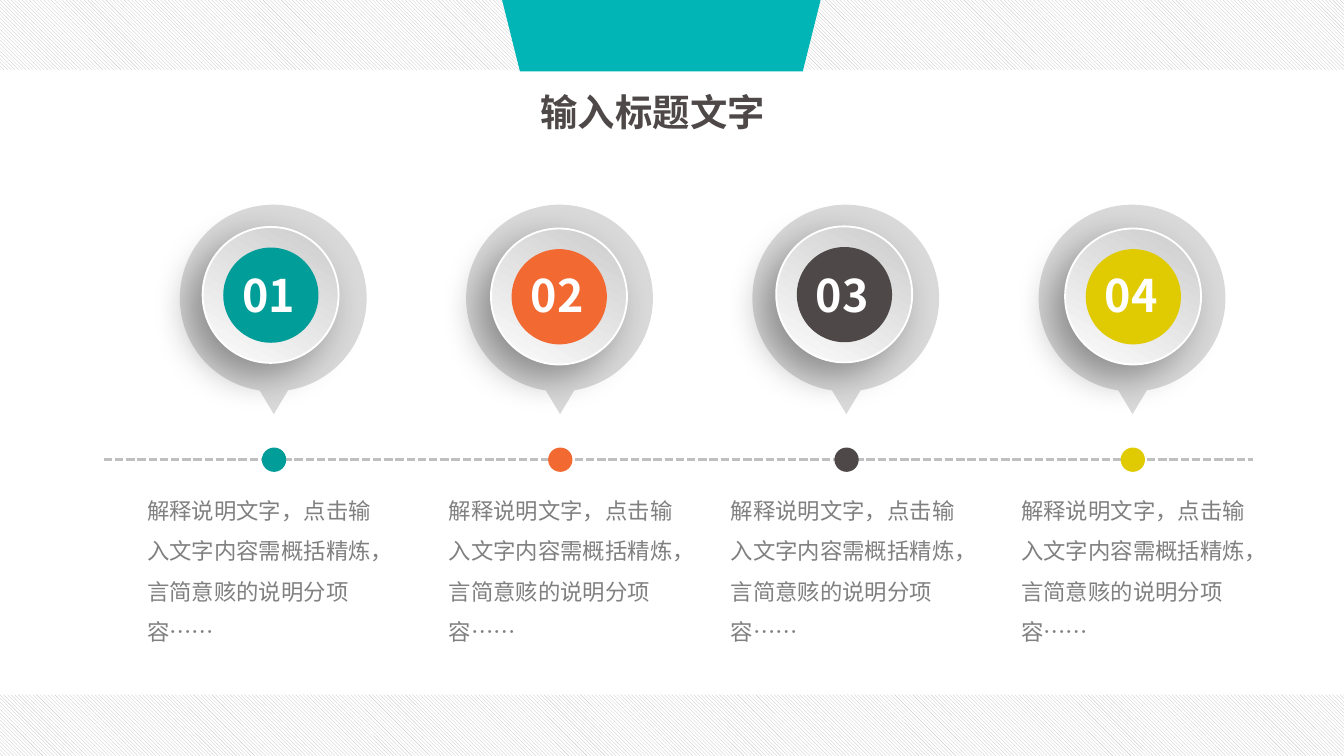
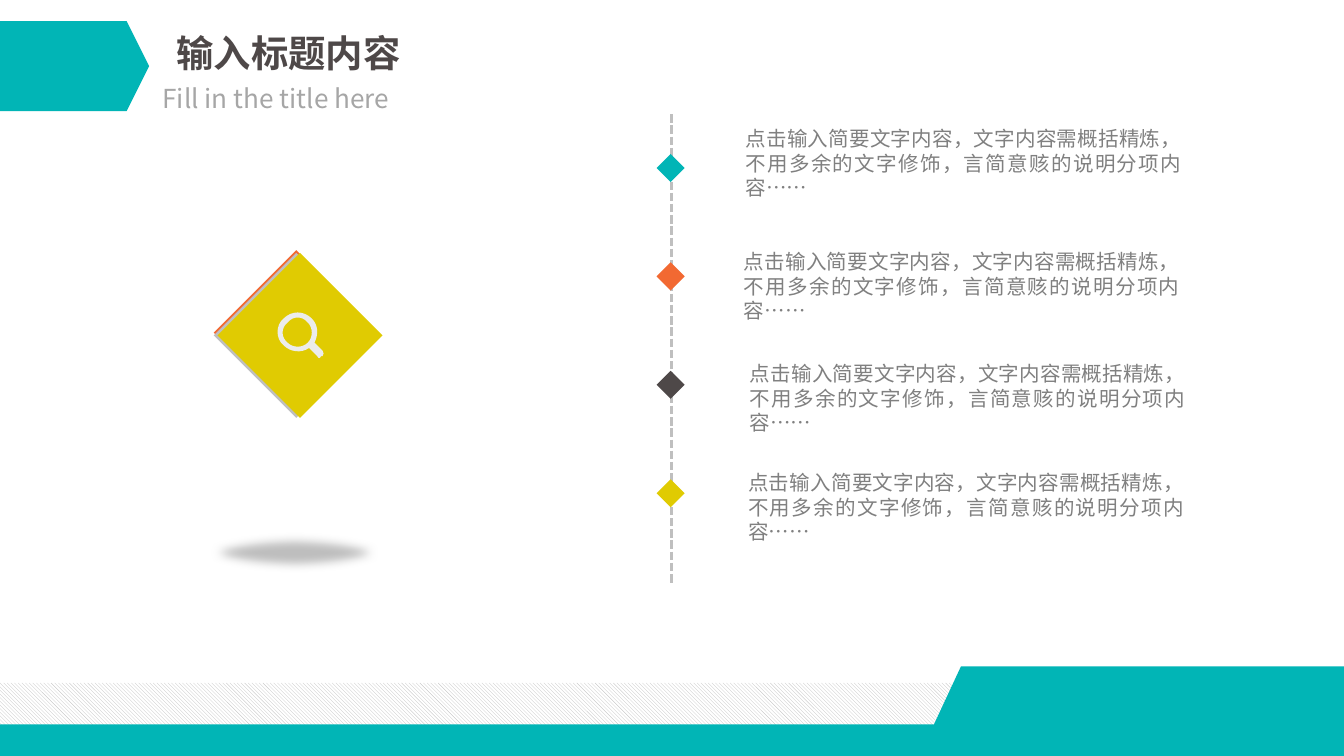
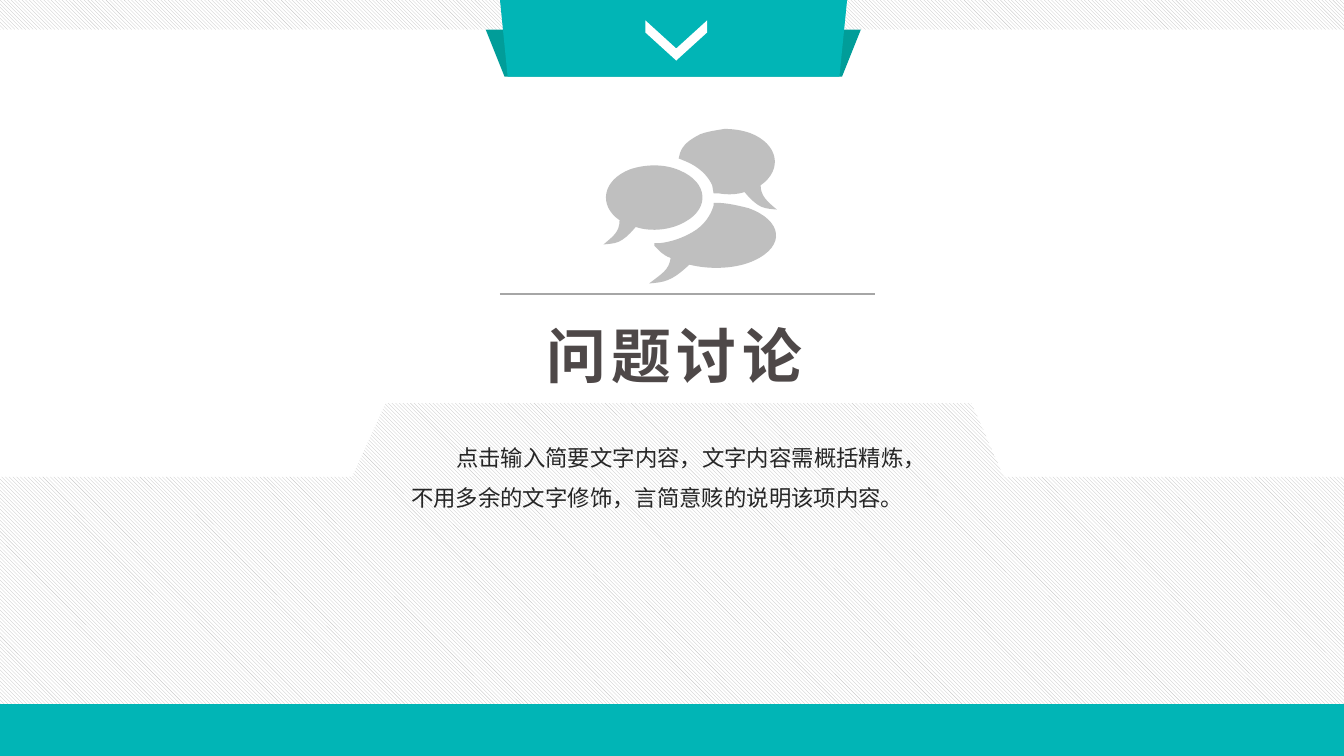
from lxml import etree
from pptx import Presentation
from pptx.dml.color import RGBColor
from pptx.enum.dml import MSO_LINE, MSO_PATTERN
from pptx.enum.shapes import MSO_CONNECTOR, MSO_SHAPE
from pptx.enum.text import MSO_ANCHOR, MSO_AUTO_SIZE, PP_ALIGN
from pptx.oxml.ns import qn
from pptx.util import Cm, Pt

TEAL = RGBColor(0x01, 0xB5, 0xB6)
DEEP_TEAL = RGBColor(0x01, 0x9D, 0x99)
ORANGE = RGBColor(0xF2, 0x69, 0x32)
CHARCOAL = RGBColor(0x4E, 0x48, 0x48)
YELLOW = RGBColor(0xE0, 0xCB, 0x02)
WHITE = RGBColor(0xFF, 0xFF, 0xFF)
ICON_WHITE = RGBColor(0xEC, 0xEC, 0xEB)
PIN_GREY = RGBColor(0xD9, 0xD9, 0xD9)
SILVER = RGBColor(0xBF, 0xBF, 0xBF)
RULE_GREY = RGBColor(0xA6, 0xA6, 0xA6)
TEXT_GREY = RGBColor(0x80, 0x80, 0x80)
INK = RGBColor(0x26, 0x26, 0x26)
DISC_DARK = RGBColor(0xCC, 0xCC, 0xCC)
DISC_LIGHT = RGBColor(0xFC, 0xFC, 0xFC)

SANS = "Noto Sans CJK SC"
WIDTH, HEIGHT = 25.4, 14.29
GRID = Cm(0.0254)  # unit of the outlines below

# Slide 1: number, colour, disc left, disc top, caption left, caption width
STEP_CAPTION = "解释说明文字，点击输入文字内容需概括精炼，言简意赅的说明分项容……"
STEPS = [
    ("01", DEEP_TEAL, 3.83, 4.29, 2.53, 5.12),
    ("02", ORANGE, 9.28, 4.32, 8.23, 4.8),
    ("03", CHARCOAL, 14.67, 4.28, 13.56, 4.8),
    ("04", YELLOW, 20.13, 4.32, 19.05, 4.8),
]
STEP_PITCH = 5.41

# Slide 2: colour, note left, note top
NOTE = "点击输入简要文字内容，文字内容需概括精炼，不用多余的文字修饰，言简意赅的说明分项内容……"
NOTES = [
    (TEAL, 13.84, 2.26),
    (ORANGE, 13.81, 4.58),
    (CHARCOAL, 13.92, 6.7),
    (YELLOW, 13.89, 8.76),
]
NOTE_PITCH = 2.05
TILES = [(ORANGE, 4.04, 4.73), (SILVER, 4.04, 4.78), (YELLOW, 4.11, 4.78)]

DISCUSSION = "点击输入简要文字内容，文字内容需概括精炼，不用多余的文字修饰，言简意赅的说明该项内容。"

# Outlines are lists of contours; two numbers draw a line, six a Bézier curve.
FOOTER = [[(1000, 562.5), (0, 562.5), (0, 539), (695, 539), (715, 496), (1000, 496)]]
PLATFORM = [[(287, 300), (723, 300), (747, 355), (1000, 355),
             (1000, 562.5), (0, 562.5), (0, 355), (262, 355)]]
MAGNIFIER = [
    [(232, 237), (226, 231, 217, 231, 211, 237), (205, 242, 205, 252, 211, 257),
     (216, 262, 224, 263, 230, 259), (236, 265), (237, 267, 238, 267, 239, 265),
     (240, 265), (241, 264, 241, 262, 240, 261), (234, 255),
     (237, 249, 237, 242, 232, 237)],
    [(229, 255), (225, 259, 218, 259, 214, 255), (209, 251, 209, 244, 214, 240),
     (218, 235, 225, 235, 229, 240), (233, 244, 233, 251, 229, 255)],
]
BUBBLES = [
    [[(449, 182), (456, 176, 461, 173, 461, 164), (445, 153, 448, 134, 469, 126),
      (481, 122, 495, 122, 506, 127), (527, 136, 528, 155, 510, 165),
      (500, 171, 485, 173, 473, 169), (462, 182, 458, 181, 449, 182)]],
    [[(539, 96), (546, 96, 552, 97, 558, 99), (579, 107, 583, 126, 566, 138),
      (566, 146, 571, 150, 578, 156), (569, 155, 565, 156, 554, 143),
      (548, 145, 541, 145, 535, 144), (531, 144), (530, 138),
      (527, 131, 520, 124, 510, 120), (505, 118), (506, 114),
      (508, 108, 513, 104, 521, 100), (526, 98, 533, 97, 539, 96)]],
    [[(533, 151), (541, 151, 549, 153, 557, 155), (582, 164, 585, 183, 561, 194),
      (548, 200, 529, 201, 513, 197), (499, 210, 494, 210, 483, 211),
      (492, 204, 498, 201, 499, 192), (493, 190, 490, 186, 487, 183), (487, 181),
      (491, 181), (500, 180, 508, 177, 515, 173), (524, 168, 529, 160, 531, 153),
      (531, 151)]],
]


def paint(shape, fill):
    """Fill without line or shadow; a fill of None gives the hatched pattern."""
    shape.shadow.inherit = False
    shape.line.fill.background()
    if fill is None:
        shape.fill.patterned()
        shape.fill.pattern = MSO_PATTERN.LIGHT_DOWNWARD_DIAGONAL
        shape.fill.fore_color.rgb = SILVER
        shape.fill.back_color.rgb = WHITE
    else:
        shape.fill.solid()
        shape.fill.fore_color.rgb = fill
    return shape


def add_figure(slide, kind, box, fill, adjust=None, flip=False):
    shape = paint(slide.shapes.add_shape(kind, *map(Cm, box)), fill)
    if adjust is not None:
        shape.adjustments[0] = adjust
    if flip:
        shape._element.spPr.get_or_add_xfrm().set("flipV", "1")
    return shape


def add_hatch(slide, top, height):
    add_figure(slide, MSO_SHAPE.RECTANGLE, (0, top, WIDTH, height), None)


def add_outline(slide, contours, fill):
    """Draw straight contours through the end points, then bend the curved sides."""
    ends = [[tuple(round(n * GRID) for n in side[-2:]) for side in contour]
            for contour in contours]
    builder = slide.shapes.build_freeform(*ends[0][0])
    builder.add_line_segments(ends[0][1:], close=True)
    for hole in ends[1:]:
        builder.move_to(*hole[0])
        builder.add_line_segments(hole[1:], close=True)
    shape = builder.convert_to_shape()

    sides = [side for contour in contours for side in contour[1:]]
    for line, side in zip(list(shape._element.iter(qn("a:lnTo"))), sides):
        if len(side) == 2:
            continue
        curve = etree.Element(qn("a:cubicBezTo"))
        for x, y in zip(side[::2], side[1::2]):
            etree.SubElement(curve, qn("a:pt"), x=str(round(x * GRID) - shape.left),
                             y=str(round(y * GRID) - shape.top))
        line.getparent().replace(line, curve)
    return paint(shape, fill)


def add_rule(slide, start, end, color, width, dash=None):
    rule = slide.shapes.add_connector(MSO_CONNECTOR.STRAIGHT, *map(Cm, start + end))
    rule.line.color.rgb = color
    rule.line.width = Pt(width)
    if dash:
        rule.line.dash_style = dash
    etree.SubElement(rule._element.spPr, qn("a:effectLst"))


def add_effect(shape, name, **attributes):
    effects = shape._element.spPr.find(qn("a:effectLst"))
    return etree.SubElement(effects, qn(name), attributes)


def write(shape, words, size, color, bold=False, font=SANS, align=PP_ALIGN.LEFT,
          spacing=None, wrap=True, indent=0, tracking=0):
    frame = shape.text_frame
    frame.word_wrap = wrap
    frame.auto_size = MSO_AUTO_SIZE.SHAPE_TO_FIT_TEXT
    frame.vertical_anchor = MSO_ANCHOR.TOP
    paragraph = frame.paragraphs[0]
    paragraph.alignment = align
    if spacing:
        paragraph.line_spacing = spacing
    if indent:
        paragraph._p.get_or_add_pPr().set("indent", str(Cm(indent)))
    run = paragraph.add_run()
    run.text = words
    run.font.size = Pt(size)
    run.font.bold = bold
    run.font.color.rgb = color
    run.font.name = font
    properties = run._r.get_or_add_rPr()
    if tracking:
        properties.set("spc", str(tracking * 100))
    east_asian = etree.Element(qn("a:ea"), typeface=SANS)
    properties.find(qn("a:latin")).addnext(east_asian)


def add_text(slide, box, words, size, color, **style):
    write(slide.shapes.add_textbox(*map(Cm, box)), words, size, color, **style)


def add_titled_slide(deck, title, box, size=20, **style):
    slide = deck.slides.add_slide(deck.slide_layouts[5])
    heading = slide.shapes.title
    heading.left, heading.top, heading.width, heading.height = map(Cm, box)
    write(heading, title, size, CHARCOAL, bold=True, **style)
    return slide


def add_step(slide, index, number, color, disc_left, disc_top, caption_left, caption_width):
    shift = index * STEP_PITCH
    add_figure(slide, MSO_SHAPE.OVAL, (3.4 + shift, 3.87, 3.53, 3.53), PIN_GREY)
    add_figure(slide, MSO_SHAPE.ISOSCELES_TRIANGLE, (4.69 + shift, 7.02, 0.97, 0.81),
               PIN_GREY, flip=True)
    add_figure(slide, MSO_SHAPE.OVAL, (4.95 + shift, 8.46, 0.46, 0.46), color)

    disc = add_figure(slide, MSO_SHAPE.OVAL, (disc_left, disc_top, 2.57, 2.57), WHITE)
    disc.fill.gradient()
    disc.fill.gradient_angle = 240
    for stop, shade in zip(disc.fill.gradient_stops, (DISC_DARK, DISC_LIGHT)):
        stop.color.rgb = shade
    disc.line.color.rgb = WHITE
    disc.line.width = Pt(1)
    shadow = add_effect(disc, "a:outerShdw", blurRad=str(Pt(20)), dist=str(Pt(10)),
                        dir=str(136 * 60000), algn="ctr", rotWithShape="0")
    black = etree.SubElement(shadow, qn("a:srgbClr"), val="000000")
    etree.SubElement(black, qn("a:alpha"), val="34000")

    add_figure(slide, MSO_SHAPE.OVAL, (disc_left + 0.39, disc_top + 0.39, 1.8, 1.8), color)
    add_text(slide, (disc_left + 0.5, 4.94, 1.57, 1.27), number, 24, WHITE,
             bold=True, wrap=False)
    add_text(slide, (caption_left, 9.02, caption_width, 4.37), STEP_CAPTION, 12,
             TEXT_GREY, spacing=1.5)


def build_steps(deck):
    slide = add_titled_slide(deck, "输入标题文字", (9.96, 1.56, 5.08, 1.12),
                             align=PP_ALIGN.JUSTIFY)
    add_hatch(slide, 0, 1.32)
    add_hatch(slide, 13.13, HEIGHT - 13.13)
    add_figure(slide, MSO_SHAPE.TRAPEZOID, (9.49, 0, 6.02, 1.35), TEAL, flip=True)
    add_rule(slide, (1.96, 8.69), (23.68, 8.69), SILVER, 1.5, MSO_LINE.SQUARE_DOT)
    for index, step in enumerate(STEPS):
        add_step(slide, index, *step)


def build_notes(deck):
    slide = add_titled_slide(deck, "输入标题内容", (3.08, 0.44, 4.93, 1.12))
    add_text(slide, (2.82, 1.44, 4.98, 0.86), "Fill in the title here", 14, RULE_GREY,
             wrap=False)
    add_hatch(slide, 12.91, 1.3)
    add_outline(slide, FOOTER, TEAL)
    add_figure(slide, MSO_SHAPE.PENTAGON, (0, 0.4, 2.82, 1.7), TEAL, adjust=0.25)

    ground = add_figure(slide, MSO_SHAPE.OVAL, (3.76, 10.06, 3.63, 0.76), SILVER)
    add_effect(ground, "a:softEdge", rad=str(Pt(5)))
    for color, left, top in TILES:
        add_figure(slide, MSO_SHAPE.DIAMOND, (left, top, 3.12, 3.12), color)
    add_outline(slide, MAGNIFIER, ICON_WHITE)

    add_rule(slide, (12.69, 2.16), (12.69, 11.02), SILVER, 1.5, MSO_LINE.SQUARE_DOT)
    for index, (color, left, top) in enumerate(NOTES):
        marker_top = 2.91 + index * NOTE_PITCH
        add_figure(slide, MSO_SHAPE.DIAMOND, (12.41, marker_top, 0.53, 0.53), color)
        add_text(slide, (left, top, 8.74, 1.68), NOTE, 11, TEXT_GREY, font="Calibri",
                 align=PP_ALIGN.JUSTIFY)


def build_discussion(deck):
    slide = add_titled_slide(deck, "问题讨论", (9.7, 5.89, 6.17, 1.63), size=32,
                             align=PP_ALIGN.JUSTIFY, indent=0.37, tracking=3)
    for bubble in BUBBLES:
        add_outline(slide, bubble, SILVER)
    add_rule(slide, (9.45, 5.56), (16.54, 5.56), RULE_GREY, 0.75)
    # The white panel trims the rule above it, and the title stands on the panel.
    add_figure(slide, MSO_SHAPE.RECTANGLE, (8.08, 5.58, 9.04, 2.31), WHITE)
    slide.shapes._spTree.append(slide.shapes.title._element)
    add_outline(slide, PLATFORM, None)
    add_figure(slide, MSO_SHAPE.RECTANGLE, (0, 13.31, WIDTH, HEIGHT - 13.31), TEAL)
    add_hatch(slide, 0, 0.56)
    add_figure(slide, MSO_SHAPE.TRAPEZOID, (9.18, 0.56, 7.09, 0.89), DEEP_TEAL,
               adjust=0.4, flip=True)
    add_figure(slide, MSO_SHAPE.TRAPEZOID, (9.45, 0, 6.56, 1.45), TEAL,
               adjust=0.1, flip=True)
    arrow = add_figure(slide, MSO_SHAPE.CHEVRON, (12.4, 0.18, 0.76, 1.17), WHITE, adjust=0.7)
    arrow.rotation = 90
    add_text(slide, (7.52, 8.01, 10.46, 1.7), DISCUSSION, 12, INK, spacing=1.5, indent=0.85)


def main():
    deck = Presentation()
    deck.slide_width, deck.slide_height = Cm(WIDTH), Cm(HEIGHT)
    build_steps(deck)
    build_notes(deck)
    build_discussion(deck)
    deck.save("out.pptx")


if __name__ == "__main__":
    main()
